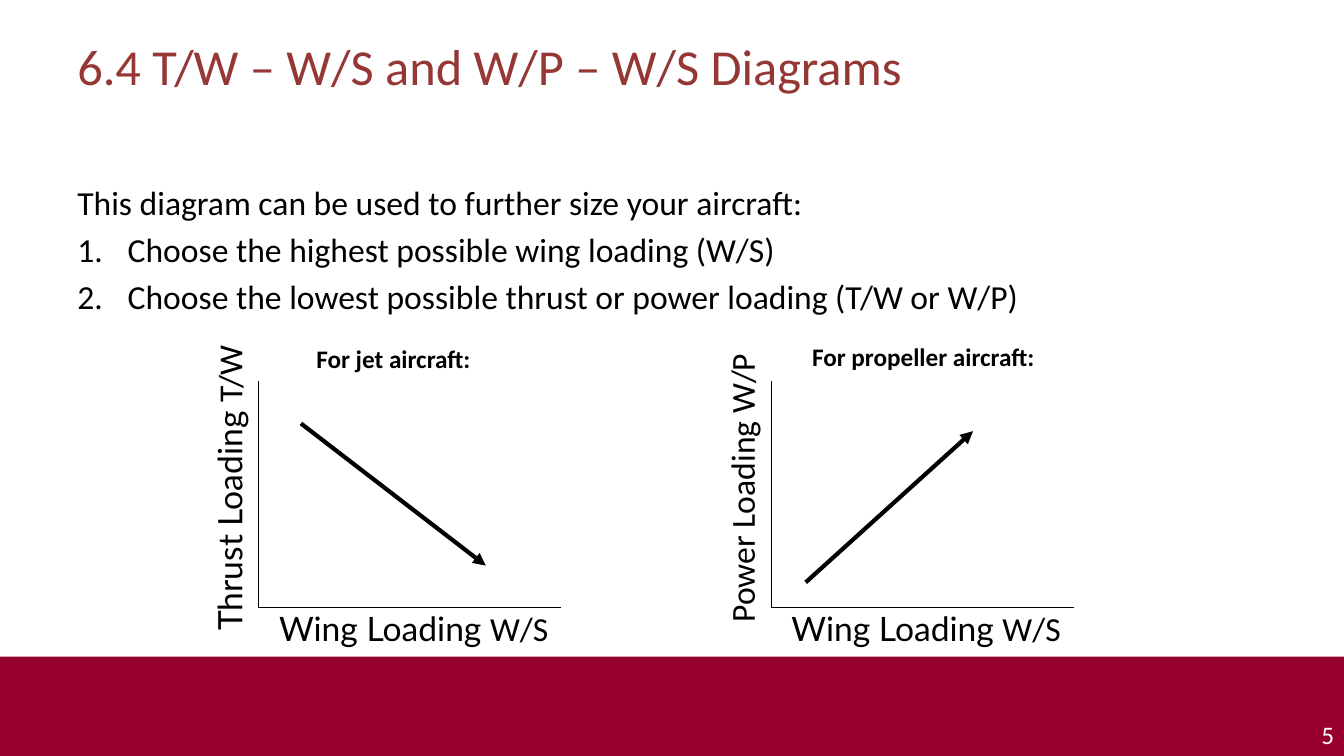
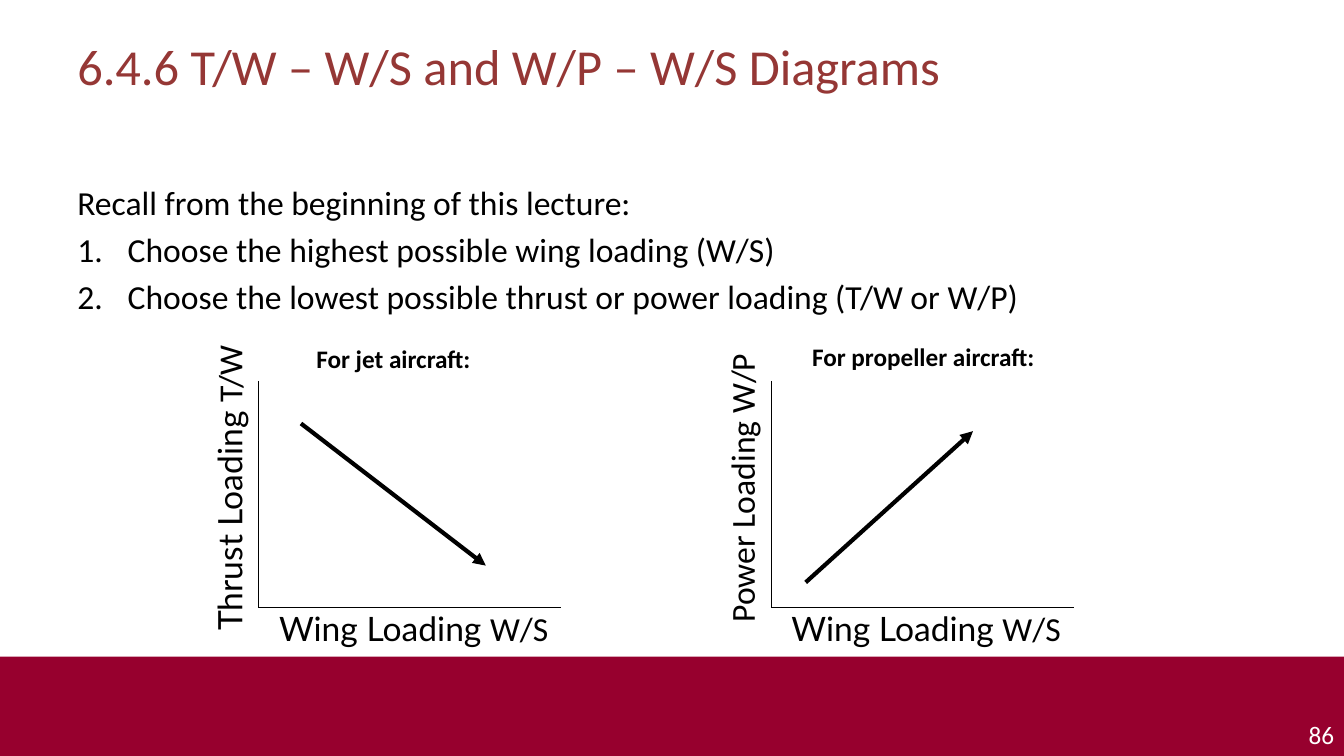
import pptx
import pptx.util
import pptx.dml.color
import pptx.enum.shapes
import pptx.enum.text
import pptx.oxml.ns
import lxml.etree

Pt = pptx.util.Pt
RGB = pptx.dml.color.RGBColor
ALIGN = pptx.enum.text.PP_ALIGN
ANCHOR = pptx.enum.text.MSO_ANCHOR
qn = pptx.oxml.ns.qn

# Shared look
RED = RGB(0x97, 0x00, 0x2E)
BRICK = RGB(0x95, 0x37, 0x35)
BLACK = RGB(0, 0, 0)
WHITE = RGB(255, 255, 255)
SANS, WIDE = "Calibri", "Lato"

# Slide heads and graph data
PAGES = [
    ("6.4 T/W – W/S and W/P – W/S Diagrams",
     "This diagram can be used to further size your aircraft:", "5"),
    ("6.4.6 T/W – W/S and W/P – W/S Diagrams",
     "Recall from the beginning of this lecture:", "86"),
]
STEPS = ["Choose the highest possible wing loading (W/S)",
         "Choose the lowest possible thrust or power loading (T/W or W/P)"]
TOP, BASE, SPAN = 272, 434, 216
# left edge, heading, its centre and top, y label, arrow ends
GRAPHS = [
    (185, "For jet aircraft:", 281, 242,
     [("Thrust Loading ", WIDE), ("T/W", SANS)], (215, 302.5, 347, 404)),
    (551, "For propeller aircraft:", 659.5, 240.5,
     [("Power Loading W/P", SANS)], (575.5, 416, 695, 308)),
]


def text(box, paras, size=24, color=BLACK, bold=False, align=ALIGN.LEFT,
         wrap=True, gap=0):
    """Fill a box; each paragraph is a list of (words, font) runs."""
    frame = box.text_frame
    frame.word_wrap = wrap
    frame.auto_size = pptx.enum.text.MSO_AUTO_SIZE.NONE
    frame.vertical_anchor = ANCHOR.TOP
    for i, runs in enumerate(paras):
        para = frame.add_paragraph() if i else frame.paragraphs[0]
        para.alignment = align
        para.space_before = Pt(gap if i else 0)
        for words, face in runs:
            run = para.add_run()
            run.text = words
            run.font.name, run.font.size = face, Pt(size)
            run.font.bold = bold
            run.font.color.rgb = color


def line(slide, ends, width, arrow=False):
    """Draw a black straight line, with an arrowhead at its end if asked."""
    link = slide.shapes.add_connector(
        pptx.enum.shapes.MSO_CONNECTOR.STRAIGHT, *map(Pt, ends))
    link.line.color.rgb = BLACK
    link.line.width = Pt(width)
    props = link.element.spPr
    if arrow:
        lxml.etree.SubElement(props.find(qn("a:ln")), qn("a:tailEnd"),
                              type="triangle")
    lxml.etree.SubElement(props, qn("a:effectLst"))


deck = pptx.Presentation()
deck.slide_width, deck.slide_height = Pt(960), Pt(540)

for head, lead, page in PAGES:
    slide = deck.slides.add_slide(deck.slide_layouts[1])
    shapes = slide.shapes

    # Band and page number
    band = shapes.add_shape(pptx.enum.shapes.MSO_SHAPE.RECTANGLE,
                            0, Pt(469), Pt(960), Pt(71))
    band.shadow.inherit = False
    band.fill.solid()
    band.fill.fore_color.rgb = RED
    band.line.fill.background()
    box = shapes.add_textbox(Pt(909), Pt(510.5), Pt(51), Pt(29))
    text(box, [[(page, SANS)]], size=18, color=WHITE, align=ALIGN.RIGHT)

    # Title and numbered steps
    title, body = shapes.title, slide.placeholders[1]
    for holder, top, height in [(title, 21.6, 90), (body, 126, 323)]:
        holder.left, holder.top = Pt(48), Pt(top)
        holder.width, holder.height = Pt(864), Pt(height)
    text(title, [[(head, SANS)]], size=36, color=BRICK)
    text(body, [[(words, SANS)] for words in [lead] + STEPS], gap=4.8)
    for i, para in enumerate(body.text_frame.paragraphs):
        props = para._p.get_or_add_pPr()
        dent = Pt(36) if i else 0
        props.set("marL", str(dent))
        props.set("indent", str(-dent))
        if i:
            lxml.etree.SubElement(props, qn("a:buFont"), typeface="+mj-lt")
            lxml.etree.SubElement(props, qn("a:buAutoNum"),
                                  type="arabicPeriod")
        else:
            lxml.etree.SubElement(props, qn("a:buNone"))

    # Graphs: axes, labels, heading and trend arrow
    for left, name, mid, top, label, trend in GRAPHS:
        line(slide, (left, TOP, left, BASE), 0.75)
        line(slide, (left, BASE, left + SPAN, BASE), 0.75)
        wing = [("Wing Loading ", WIDE), ("W/S", SANS)]
        for runs, x, y, turn in [(label, left - 21, 348.5, 270),
                                 (wing, left + 110.5, 449, 0)]:
            box = shapes.add_textbox(Pt(x - 110), Pt(y - 18.4),
                                     Pt(220), Pt(36.8))
            box.rotation = turn
            text(box, [runs], align=ALIGN.CENTER, wrap=False)
        box = shapes.add_textbox(Pt(mid - 120), Pt(top), Pt(240), Pt(29))
        text(box, [[(name, SANS)]], size=18, bold=True, align=ALIGN.CENTER)
        line(slide, trend, 3, arrow=True)

deck.save("out.pptx")
